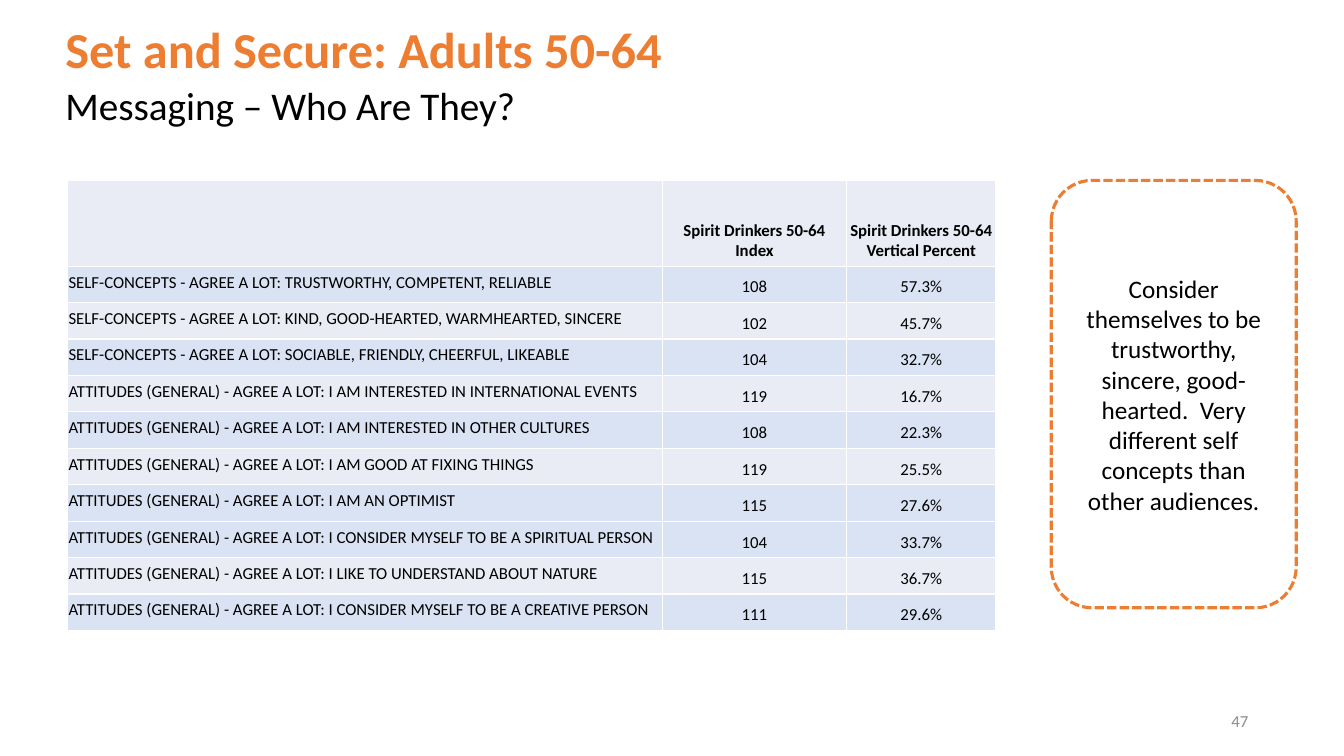
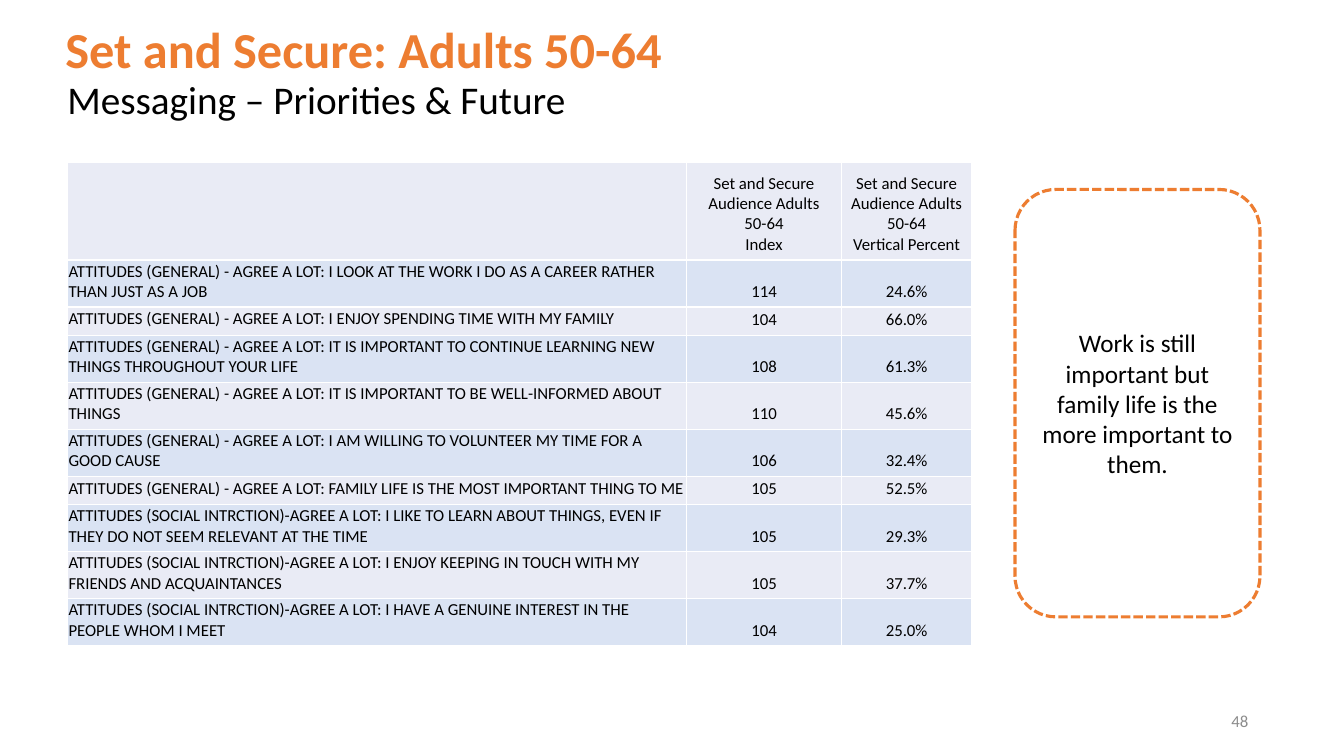
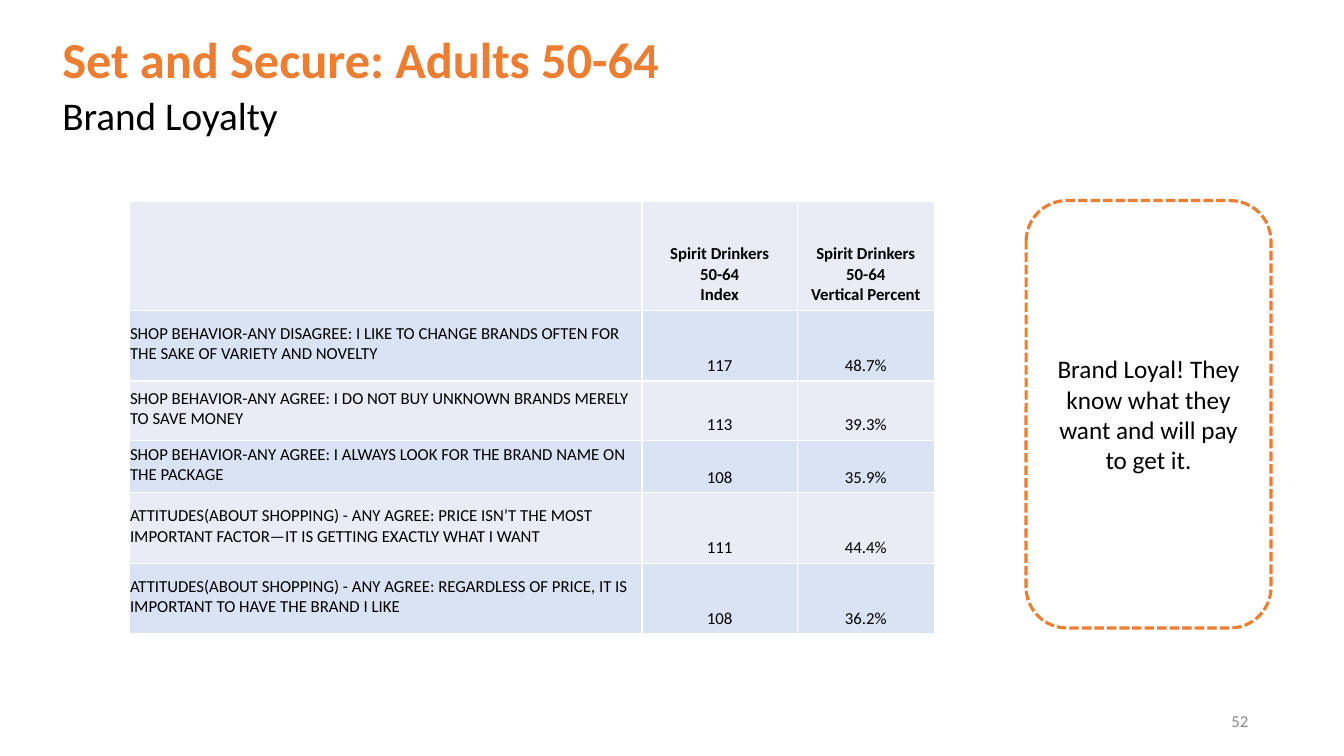
from dataclasses import dataclass

from lxml.etree import SubElement
from pptx import Presentation
from pptx.dml.color import RGBColor as RGB
from pptx.enum.dml import MSO_LINE_DASH_STYLE as DASH
from pptx.enum.shapes import MSO_SHAPE as SHAPE
from pptx.enum.text import MSO_ANCHOR as ANCHOR, PP_ALIGN as ALIGN
from pptx.oxml.ns import qn
from pptx.util import Emu, Inches, Pt


@dataclass(frozen=True)
class Theme:
    font: str = "Calibri"
    ink: str = "000000"
    paper: str = "FFFFFF"
    accent: str = "ED7D31"
    muted: str = "8C8C8C"
    bands: tuple = ("E9EBF5", "DAE3F3")
    heading_size: int = 36
    topic_size: int = 28
    callout_size: int = 18
    body_size: int = 12
    dash_width: float = 2.25
    border_width: int = 1


@dataclass(frozen=True)
class Box:
    left: float
    top: float
    width: float = 0
    height: float = 0

    def inner(self, dx, dy, width, height):
        return Box(self.left + dx, self.top + dy, width, height)

    def place(self):
        return [grid(n) for n in (self.left, self.top, self.width, self.height)]


THEME = Theme()
COLUMNS, ROWS = 80, 45
CELL = Inches(7.5) / ROWS
HEADING = "Set and Secure: Adults 50-64"
PAGE_BOX = Box(56.9, 41.7, 18, 2.4)
CALLOUT_SIZE = (14.58, 25.44)


def grid(count):
    return Emu(round(count * CELL))


def write(frame, *lines, size=THEME.body_size, color=THEME.ink, bold=False,
          align=ALIGN.LEFT, anchor=ANCHOR.MIDDLE, spacing=None):
    frame.word_wrap = True
    frame.vertical_anchor = anchor
    for number, line in enumerate(lines):
        paragraph = frame.add_paragraph() if number else frame.paragraphs[0]
        paragraph.alignment = align
        paragraph.line_spacing = spacing
        run = paragraph.add_run()
        run.text = line
        run.font.name = THEME.font
        run.font.size = Pt(size)
        run.font.bold = bold
        run.font.color.rgb = RGB.from_string(color)


def add_text(slide, box, *lines, **style):
    write(slide.shapes.add_textbox(*box.place()).text_frame, *lines, **style)


def add_heading(slide, box, topic, topic_shift):
    add_text(slide, box.inner(*topic_shift, 69, 8.7), topic,
             size=THEME.topic_size, spacing=0.9)
    add_text(slide, box.inner(0, 0, 69, 4.2), HEADING, size=THEME.heading_size,
             color=THEME.accent, bold=True, anchor=ANCHOR.BOTTOM, spacing=0.9)


def add_page_number(slide, box, number):
    add_text(slide, box, str(number), color=THEME.muted, align=ALIGN.RIGHT)


def add_callout(slide, box, message):
    callout = slide.shapes.add_shape(SHAPE.ROUNDED_RECTANGLE, *box.place())
    callout.shadow.inherit = False
    callout.fill.solid()
    callout.fill.fore_color.rgb = RGB.from_string(THEME.paper)
    callout.line.color.rgb = RGB.from_string(THEME.accent)
    callout.line.width = Pt(THEME.dash_width)
    callout.line.dash_style = DASH.SQUARE_DOT
    write(callout.text_frame, message, size=THEME.callout_size, align=ALIGN.CENTER)


def style_cell(cell, band):
    cell.margin_left = cell.margin_right = cell.margin_top = Inches(0.01)
    cell.margin_bottom = Inches(0.05)
    properties = cell._tc.get_or_add_tcPr()
    for side in ("a:lnL", "a:lnR", "a:lnT", "a:lnB"):
        border = SubElement(properties, qn(side), w=str(Pt(THEME.border_width)))
        fill = SubElement(border, qn("a:solidFill"))
        SubElement(fill, qn("a:srgbClr"), val=THEME.paper)
    cell.fill.solid()
    cell.fill.fore_color.rgb = RGB.from_string(THEME.bands[band])


def add_survey_table(slide, box, widths, heights, headers, findings,
                     bold_header=True, band_restart=None):
    area = box.inner(0, 0, sum(widths), sum(heights))
    table = slide.shapes.add_table(len(heights), len(widths), *area.place()).table
    table.first_row = table.horz_banding = False
    for column, width in zip(table.columns, widths):
        column.width = grid(width)
    for row, height in zip(table.rows, heights):
        row.height = grid(height)
    content = [((), *headers)]
    content += [tuple((entry,) for entry in finding) for finding in findings]
    for row, entries in enumerate(content):
        restarted = band_restart is not None and row >= band_restart
        for column, lines in enumerate(entries):
            cell = table.cell(row, column)
            style_cell(cell, (row + restarted) % 2)
            write(cell.text_frame, *lines, bold=bold_header and row == 0,
                  align=ALIGN.CENTER if column else ALIGN.LEFT)
            cell.vertical_anchor = ANCHOR.BOTTOM if column else ANCHOR.MIDDLE


def add_audience_slide(deck, page, topic, message, heading_at, callout_at, table_at,
                       topic_shift=(0, 1.2), **survey):
    slide = deck.slides.add_slide(deck.slide_layouts[6])
    add_page_number(slide, PAGE_BOX, page)
    add_survey_table(slide, Box(*table_at), **survey)
    add_heading(slide, Box(*heading_at), topic, topic_shift)
    add_callout(slide, Box(*callout_at, *CALLOUT_SIZE), message)


GENERAL = "ATTITUDES (GENERAL) - AGREE A LOT: "
SELF = "SELF-CONCEPTS - AGREE A LOT: "
SOCIAL = "ATTITUDES (SOCIAL INTRCTION)-AGREE A LOT: "
SHOPPING = "ATTITUDES(ABOUT SHOPPING) - ANY AGREE: "
SHOP_AGREE = "SHOP BEHAVIOR-ANY AGREE: "
ONE_LINE, TWO_LINES = 1.68, 2.8

AUDIENCE_SLIDES = [
    dict(
        page=47,
        topic="Messaging – Who Are They?",
        message="Consider themselves to be trustworthy, sincere, good-hearted.  "
                "Very different self concepts than other audiences.",
        heading_at=(3.3, 0.84),
        callout_at=(62.58, 10.74),
        table_at=(4.02, 10.74),
        widths=(35.4, 10.98, 8.88),
        heights=[5.1] + [2.17] * 10,
        band_restart=8,
        headers=[("Spirit Drinkers 50-64", "Index"),
                 ("Spirit Drinkers 50-64", "Vertical Percent")],
        findings=[
            (SELF + "TRUSTWORTHY, COMPETENT, RELIABLE", "108", "57.3%"),
            (SELF + "KIND, GOOD-HEARTED, WARMHEARTED, SINCERE", "102", "45.7%"),
            (SELF + "SOCIABLE, FRIENDLY, CHEERFUL, LIKEABLE", "104", "32.7%"),
            (GENERAL + "I AM INTERESTED IN INTERNATIONAL EVENTS", "119", "16.7%"),
            (GENERAL + "I AM INTERESTED IN OTHER CULTURES", "108", "22.3%"),
            (GENERAL + "I AM GOOD AT FIXING THINGS", "119", "25.5%"),
            (GENERAL + "I AM AN OPTIMIST", "115", "27.6%"),
            (GENERAL + "I CONSIDER MYSELF TO BE A SPIRITUAL PERSON", "104", "33.7%"),
            (GENERAL + "I LIKE TO UNDERSTAND ABOUT NATURE", "115", "36.7%"),
            (GENERAL + "I CONSIDER MYSELF TO BE A CREATIVE PERSON", "111", "29.6%"),
        ],
    ),
    dict(
        page=48,
        topic="Messaging – Priorities & Future",
        message="Work is still important but family life is the more important to them.",
        heading_at=(3.3, 0.84),
        topic_shift=(0.12, 0.84),
        callout_at=(60.42, 11.28),
        table_at=(4.02, 9.66),
        widths=(36.84, 9.24, 7.74),
        heights=[5.82, TWO_LINES, ONE_LINE] + [TWO_LINES] * 3 + [ONE_LINE] + [TWO_LINES] * 3,
        bold_header=False,
        headers=[("Set and Secure Audience Adults", "50-64", "Index"),
                 ("Set and Secure Audience Adults 50-64", "Vertical Percent")],
        findings=[
            (GENERAL + "I LOOK AT THE WORK I DO AS A CAREER RATHER THAN JUST AS A JOB",
             "114", "24.6%"),
            (GENERAL + "I ENJOY SPENDING TIME WITH MY FAMILY", "104", "66.0%"),
            (GENERAL + "IT IS IMPORTANT TO CONTINUE LEARNING NEW THINGS THROUGHOUT YOUR LIFE",
             "108", "61.3%"),
            (GENERAL + "IT IS IMPORTANT TO BE WELL-INFORMED ABOUT THINGS", "110", "45.6%"),
            (GENERAL + "I AM WILLING TO VOLUNTEER MY TIME FOR A GOOD CAUSE", "106", "32.4%"),
            (GENERAL + "FAMILY LIFE IS THE MOST IMPORTANT THING TO ME", "105", "52.5%"),
            (SOCIAL + "I LIKE TO LEARN ABOUT THINGS, EVEN IF THEY DO NOT SEEM RELEVANT "
             "AT THE TIME", "105", "29.3%"),
            (SOCIAL + "I ENJOY KEEPING IN TOUCH WITH MY FRIENDS AND ACQUAINTANCES",
             "105", "37.7%"),
            (SOCIAL + "I HAVE A GENUINE INTEREST IN THE PEOPLE WHOM I MEET", "104", "25.0%"),
        ],
    ),
    dict(
        page=52,
        topic="Brand Loyalty",
        message="Brand Loyal! They know what they want and will pay to get it.",
        heading_at=(3.12, 1.44),
        callout_at=(61.08, 11.94),
        table_at=(7.68, 12),
        widths=(30.54, 9.24, 8.16),
        heights=[6.48, 4.2, 3.54, 3.12, 4.2, 4.2],
        headers=[("Spirit Drinkers", "50-64", "Index"),
                 ("Spirit Drinkers", "50-64", "Vertical Percent")],
        findings=[
            ("SHOP BEHAVIOR-ANY DISAGREE: I LIKE TO CHANGE BRANDS OFTEN FOR THE SAKE OF "
             "VARIETY AND NOVELTY", "117", "48.7%"),
            (SHOP_AGREE + "I DO NOT BUY UNKNOWN BRANDS MERELY TO SAVE MONEY", "113", "39.3%"),
            (SHOP_AGREE + "I ALWAYS LOOK FOR THE BRAND NAME ON THE PACKAGE", "108", "35.9%"),
            (SHOPPING + "PRICE ISN’T THE MOST IMPORTANT FACTOR—IT IS GETTING EXACTLY "
             "WHAT I WANT", "111", "44.4%"),
            (SHOPPING + "REGARDLESS OF PRICE, IT IS IMPORTANT TO HAVE THE BRAND I LIKE",
             "108", "36.2%"),
        ],
    ),
]


def main():
    deck = Presentation()
    deck.slide_width, deck.slide_height = grid(COLUMNS), grid(ROWS)
    for content in AUDIENCE_SLIDES:
        add_audience_slide(deck, **content)
    deck.save("out.pptx")


if __name__ == "__main__":
    main()
